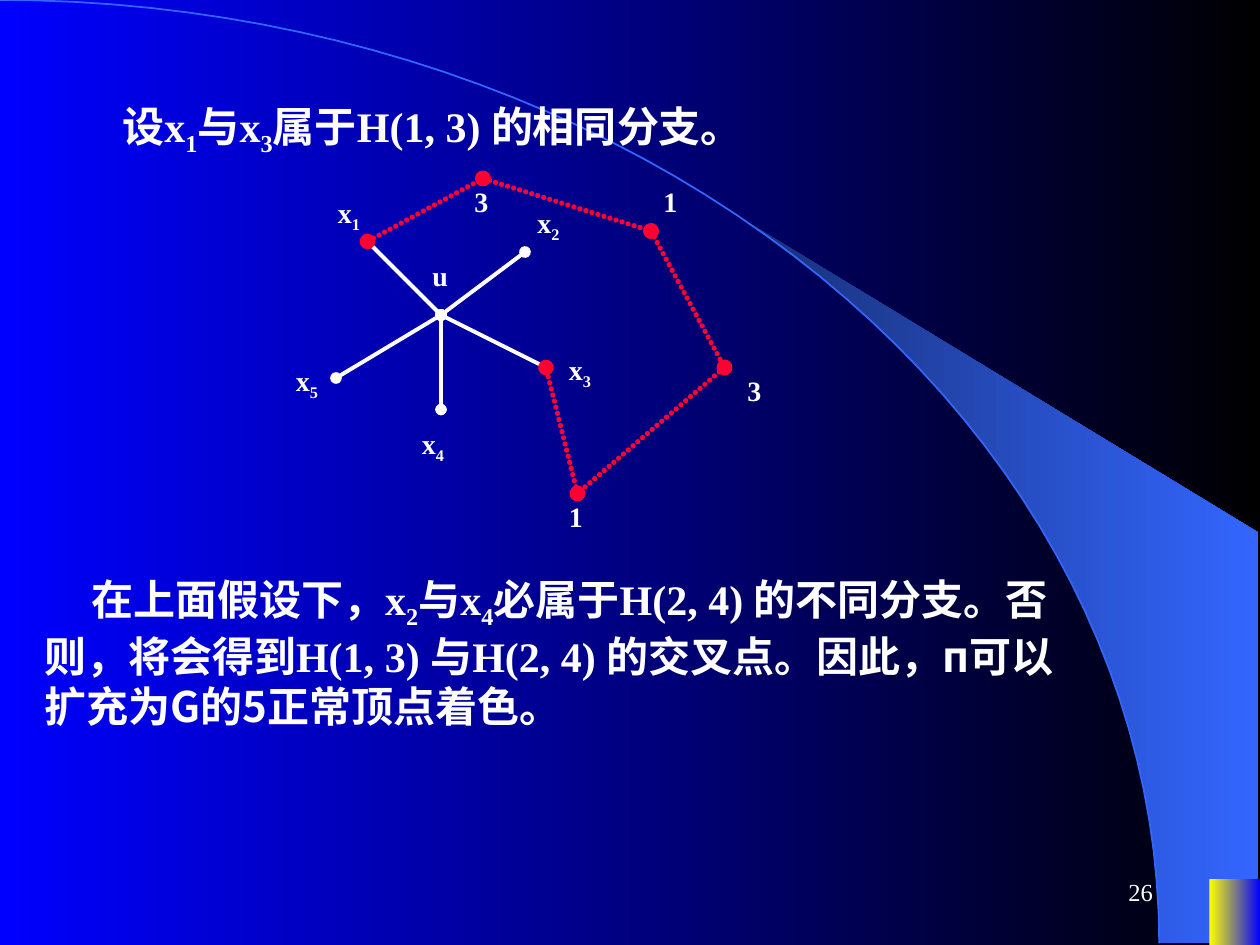
from math import asin, cos, pi, sin

from lxml import etree
from pptx import Presentation
from pptx.dml.color import RGBColor
from pptx.enum.shapes import MSO_CONNECTOR, MSO_SHAPE
from pptx.enum.text import MSO_ANCHOR, PP_ALIGN
from pptx.oxml.ns import qn
from pptx.util import Cm, Pt

LINE = MSO_CONNECTOR.STRAIGHT
RECT = MSO_SHAPE.RECTANGLE
LEFT, RIGHT = PP_ALIGN.LEFT, PP_ALIGN.RIGHT
TOP, MIDDLE = MSO_ANCHOR.TOP, MSO_ANCHOR.MIDDLE

COLORS = {"blue": "0000FF", "black": "000000", "white": "FFFFFF",
          "red": "FF0033", "yellow": "FFFF00", "navy": "182F76",
          "sky": "3366FF"}
SERIF, SANS = "Times New Roman", "Noto Sans CJK SC"
STEP = 2.54 / 12  # grid of the graph, in cm
WIDE, HIGH = 25.4, 19.05
ARC_W, ARC_H = 23.37, 19.02

HUB = (42, 30)
X1, X2, X3, X4, X5 = (35, 23), (50, 24), (52, 35), (42, 39), (32, 36)
CHAIN = [X1, (46, 17), (62, 22), (69, 35), (55, 47), X3]
LABELS = [("x|5", 27, 34), ("x|4", 39, 40), ("x|3", 53, 33),
          ("x|2", 50, 19), ("x|1", 31, 18), ("u", 40, 24),
          ("3", 70, 35), ("1", 62, 17), ("3", 44, 17), ("1", 53, 47)]


def rgb(name):
    return RGBColor.from_string(COLORS[name])


def arc(start, count=48):
    """Points of the quarter ellipse from angle start to its right end."""
    turns = [start + (pi / 2 - start) * i / count for i in range(count + 1)]
    return [(ARC_W * sin(t), ARC_H * (1 - cos(t))) for t in turns]


class Board:
    """Holds the text style and the current slide."""

    def __init__(self, slide, color="white"):
        self.slide = slide
        self.shapes = slide.shapes
        self.color = color

    def blend(self, fill, first, last):
        fill.gradient()
        fill.gradient_angle = 0
        for stop, name in zip(fill.gradient_stops, (first, last)):
            stop.color.rgb = rgb(name)

    def outline(self, points, closed):
        spots = [(Cm(x), Cm(y)) for x, y in points]
        pen = self.shapes.build_freeform(*spots[0])
        pen.add_line_segments(spots[1:], close=closed)
        shape = pen.convert_to_shape()
        shape.shadow.inherit = False
        return shape

    def wedge(self, points):
        shape = self.outline(points, True)
        self.blend(shape.fill, "navy", "sky")
        shape.line.fill.background()

    def curve(self, points):
        shape = self.outline(points, False)
        shape.fill.background()
        shape.line.color.rgb = rgb("sky")
        shape.line.width = Pt(1)

    def block(self, x, y, w, h, first, last):
        shape = self.shapes.add_shape(RECT, Cm(x), Cm(y), Cm(w), Cm(h))
        shape.shadow.inherit = False
        self.blend(shape.fill, first, last)
        shape.line.fill.background()

    def edge(self, start, end, color, width, dotted=False):
        """Joins two grid points with a line that has oval ends."""
        ends = [Cm(v * STEP) for v in (*start, *end)]
        link = self.shapes.add_connector(LINE, *ends)
        link.line.color.rgb = rgb(color)
        link.line.width = Pt(width)
        props = link._element.spPr
        ln = props.find(qn("a:ln"))
        if dotted:
            ln.set("cap", "rnd")
            dash = etree.SubElement(ln, qn("a:custDash"))
            etree.SubElement(dash, qn("a:ds"), d="100000", sp="20000")
        for tag in ("a:headEnd", "a:tailEnd"):
            etree.SubElement(ln, qn(tag), type="oval")
        etree.SubElement(props, qn("a:effectLst"))

    def text(self, words, x, y, w, h, size, bold=True, align=LEFT,
             anchor=TOP, indent=0, tail=""):
        """Every second part between bars is a subscript; tail is sans."""
        box = self.shapes.add_textbox(Cm(x), Cm(y), Cm(w), Cm(h))
        frame = box.text_frame
        frame.word_wrap = True
        frame.vertical_anchor = anchor
        para = frame.paragraphs[0]
        para.alignment = align
        if indent:
            para._p.get_or_add_pPr().set("indent", str(Cm(indent)))
        parts = [(part, SERIF, i % 2) for i, part in enumerate(words.split("|"))]
        if tail:
            parts.append((tail, SANS, 0))
        for part, face, low in parts:
            run = para.add_run()
            run.text = part
            font = run.font
            font.name, font.size, font.bold = face, Pt(size), bold
            font.color.rgb = rgb(self.color)
            props = run._r.get_or_add_rPr()
            etree.SubElement(props, qn("a:ea"), typeface=SANS)
            if low:
                props.set("baseline", "-25000")


def main():
    deck = Presentation()
    deck.slide_width, deck.slide_height = Cm(WIDE), Cm(HIGH)
    board = Board(deck.slides.add_slide(deck.slide_layouts[6]))

    board.blend(board.slide.background.fill, "blue", "black")
    board.wedge(arc(asin(0.64)) + [(25.37, ARC_H), (25.37, 10.74)])
    board.curve(arc(0))
    board.block(24.38, 17.73, 1.02, 1.32, "yellow", "blue")
    board.text("26", 18.21, 17.35, 5.28, 1.27, 14, bold=False,
               align=RIGHT, anchor=MIDDLE)

    board.text("设x|1|与x|3|属于H(1, 3) 的相同分支。",
               1.27, 1.9, 21.16, 1.42, 24, indent=0.95)
    for spot in (X1, X2, X5, X4, X3):
        board.edge(HUB, spot, "white", 2.25)
    for start, end in zip(CHAIN, CHAIN[1:]):
        board.edge(start, end, "red", 3, dotted=True)
    for words, col, row in LABELS:
        board.text(words, col * STEP, row * STEP, 1.09, 1, 16)
    board.text("在上面假设下，x|2|与x|4|必属于H(2, 4) 的不同分支。"
               "否则，将会得到H(1, 3) 与H(2, 4) 的交叉点。因此，",
               0.64, 11.43, 21.16, 3.45, 24, indent=0.95,
               tail="п可以扩充为G的5正常顶点着色。")
    deck.save("out.pptx")


if __name__ == "__main__":
    main()
